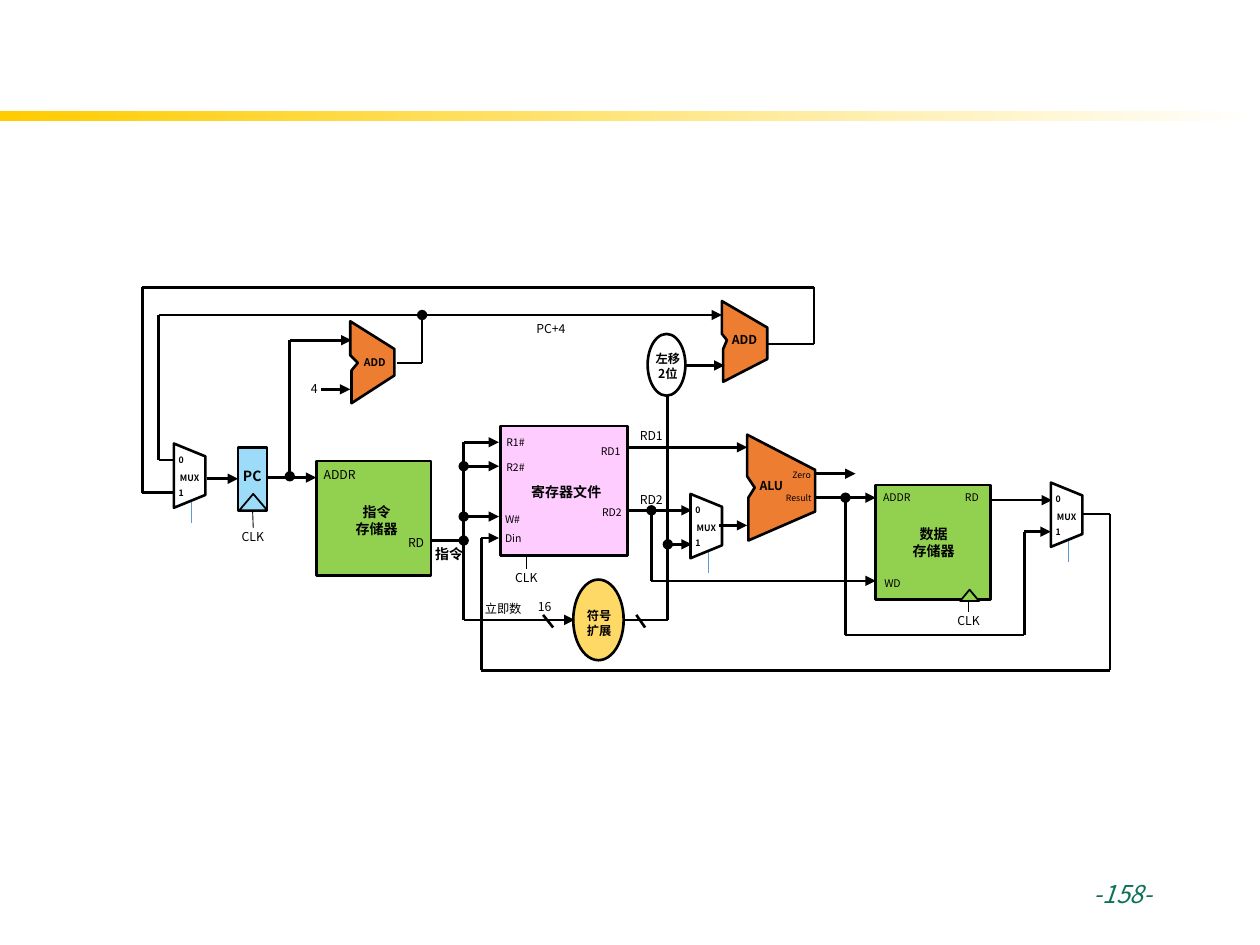
from dataclasses import dataclass
from typing import NamedTuple

from pptx import Presentation
from pptx import util as u
from pptx.dml.color import RGBColor
from pptx.enum import shapes, text
from pptx.oxml import ns
from lxml import etree

FONT = "Noto Sans CJK SC"
BLACK, WHITE, GREEN, PINK, ORANGE, SKY = "000000", "FFFFFF", "92D050", "FFCCFF", "ED7D31", "9CDCF8"
LEFT, CENTER, RIGHT = text.PP_ALIGN.LEFT, text.PP_ALIGN.CENTER, text.PP_ALIGN.RIGHT
KIND = shapes.MSO_SHAPE


class Block(NamedTuple):
    kind: int
    left: float
    top: float
    width: float
    height: float
    fill: str
    line: float = 1.5


@dataclass
class Label:
    words: str
    left: float
    top: float
    width: float
    height: float
    size: float = 7
    bold: bool = False
    align: int = LEFT
    color: str = BLACK
    italic: bool = False
    wrap: bool = False


@dataclass
class Wire:
    """A run of straight segments; head and tail name the end marks."""
    points: list
    head: str = ""
    tail: str = ""
    color: str = BLACK
    weight: float = 1.5


def rgb(value: str) -> RGBColor:
    return RGBColor.from_string(value)


def paint(shape, fill: str, line: float) -> None:
    shape.shadow.inherit = False
    shape.fill.solid()
    shape.fill.fore_color.rgb = rgb(fill)
    shape.line.color.rgb = rgb(BLACK)
    shape.line.width = u.Pt(line)


def draw_block(page, block: Block):
    box = page.shapes.add_shape(block.kind, *map(u.Inches, block[1:5]))
    paint(box, block.fill, block.line)
    return box


def draw_unit(page, points: list) -> None:
    """Notched outline of an adder or ALU."""
    corners = [(u.Inches(x), u.Inches(y)) for x, y in points]
    builder = page.shapes.build_freeform(*corners[0], scale=1.0)
    builder.add_line_segments(corners[1:], close=True)
    paint(builder.convert_to_shape(), ORANGE, 1.5)


def draw_label(page, label: Label) -> None:
    box = page.shapes.add_textbox(*map(u.Inches, (label.left, label.top, label.width, label.height)))
    frame = box.text_frame
    frame.word_wrap = label.wrap
    frame.auto_size = text.MSO_AUTO_SIZE.SHAPE_TO_FIT_TEXT
    frame.text = label.words
    for para in frame.paragraphs:
        para.alignment = label.align
        para.font.size = u.Pt(label.size)
        para.font.bold, para.font.italic = label.bold, label.italic
        para.font.color.rgb = rgb(label.color)
        para.font.name = FONT
        for span in para.runs:
            east_asian = etree.SubElement(span._r.get_or_add_rPr(), ns.qn("a:ea"))
            east_asian.set("typeface", FONT)


def add_mark(connector, end: str, mark: str) -> None:
    etree.SubElement(connector.line._get_or_add_ln(), ns.qn("a:" + end)).set("type", mark)


def draw_wire(page, wire: Wire) -> list:
    segments = []
    for start, stop in zip(wire.points, wire.points[1:]):
        segment = page.shapes.add_connector(
            shapes.MSO_CONNECTOR.STRAIGHT, *map(u.Inches, (*start, *stop)))
        segment.line.color.rgb = rgb(wire.color)
        segment.line.width = u.Pt(wire.weight)
        etree.SubElement(segment._element.spPr, ns.qn("a:effectLst"))
        segments.append(segment)
    if wire.head:
        add_mark(segments[0], "headEnd", wire.head)
    if wire.tail:
        add_mark(segments[-1], "tailEnd", wire.tail)
    return segments


def draw_mux(page, left: float, top: float) -> None:
    select_x = left + 0.27
    draw_wire(page, Wire([(select_x, top + 0.27), (select_x, top + 0.5)], color="5B9BD5", weight=0.5))
    body = draw_block(page, Block(KIND.FLOWCHART_MANUAL_OPERATION, left, top, 0.51, 0.25, WHITE))
    body.rotation = 270
    for words, dx, dy, width in (("MUX", 0.08, 0.05, 0.38), ("0", 0.07, -0.09, 0.25), ("1", 0.07, 0.17, 0.25)):
        draw_label(page, Label(words, left + dx, top + dy, width, 0.19, 5, True))


def draw_clock(page, x: float, top: float, bottom: float):
    stub, = draw_wire(page, Wire([(x, top), (x, bottom)], weight=0.5))
    draw_label(page, Label("CLK", x - 0.19, bottom - 0.04, 0.38, 0.22))
    return stub


BLOCKS = [
    Block(KIND.RECTANGLE, 2.51, 3.66, 0.91, 0.91, GREEN),
    Block(KIND.RECTANGLE, 6.95, 3.85, 0.91, 0.91, GREEN),
    Block(KIND.RECTANGLE, 3.97, 3.38, 1.01, 1.03, PINK),
    Block(KIND.OVAL, 4.55, 4.6, 0.4, 0.64, "FFD966"),
    Block(KIND.OVAL, 5.14, 2.65, 0.3, 0.49, WHITE),
    Block(KIND.ISOSCELES_TRIANGLE, 1.9, 3.92, 0.22, 0.13, SKY, 1),
    Block(KIND.ISOSCELES_TRIANGLE, 7.62, 4.68, 0.15, 0.09, GREEN, 1),
]
UNITS = [
    [(5.73, 2.39), (5.73, 2.65), (5.77, 2.7), (5.74, 2.77), (5.74, 3.03), (6.09, 2.85), (6.09, 2.6)],
    [(2.78, 2.55), (2.78, 2.82), (2.84, 2.88), (2.79, 2.94), (2.79, 3.2), (3.13, 2.98), (3.13, 2.77)],
    [(5.93, 3.45), (5.93, 3.78), (5.99, 3.87), (5.94, 3.95), (5.94, 4.29), (6.47, 4.06), (6.47, 3.73)],
]
ARROW, DOT = "triangle", "oval"
WIRES = [
    # next program counter
    Wire([(2.12, 3.79), (2.51, 3.79)], tail=ARROW),
    Wire([(2.3, 3.78), (2.3, 2.7), (2.79, 2.7)], DOT, ARROW),
    Wire([(2.55, 3.09), (2.78, 3.09)], tail=ARROW),
    Wire([(3.35, 2.5), (3.35, 2.88), (3.15, 2.88)], DOT),
    Wire([(3.35, 2.5), (5.73, 2.5)], tail=ARROW),
    Wire([(3.35, 2.5), (1.26, 2.5), (1.26, 3.65), (1.38, 3.65)]),
    Wire([(6.09, 2.73), (6.46, 2.73), (6.46, 2.28), (1.13, 2.28), (1.13, 3.91), (1.38, 3.91)]),
    # instruction fields
    Wire([(3.42, 4.29), (3.68, 4.29)], tail=DOT),
    Wire([(3.96, 3.51), (3.68, 3.51), (3.68, 4.92), (4.56, 4.92)], ARROW, ARROW),
    Wire([(3.68, 3.7), (3.96, 3.7)], DOT, ARROW),
    Wire([(3.68, 4.1), (3.96, 4.1)], DOT, ARROW),
    # sign-extended immediate
    Wire([(4.95, 4.92), (5.3, 4.92), (5.3, 3.14)]),
    Wire([(5.3, 4.32), (5.49, 4.32)], DOT, ARROW),
    Wire([(5.43, 2.9), (5.75, 2.9)], tail=ARROW),
    Wire([(4.31, 4.88), (4.39, 4.98)]),
    Wire([(5.05, 4.88), (5.12, 4.98)]),
    # operands and results
    Wire([(4.98, 3.55), (5.93, 3.55)], tail=ARROW),
    Wire([(4.98, 4.05), (5.49, 4.05)], tail=ARROW),
    Wire([(5.17, 4.05), (5.17, 4.61), (6.95, 4.61)], DOT, ARROW),
    Wire([(5.71, 4.17), (5.93, 4.17)], tail=ARROW),
    Wire([(6.47, 3.76), (6.79, 3.76)], tail=ARROW),
    Wire([(6.47, 3.95), (6.95, 3.95)], tail=ARROW),
    Wire([(6.71, 3.95), (6.71, 5.04), (8.13, 5.04), (8.13, 4.22), (8.34, 4.22)], DOT, ARROW),
    Wire([(7.86, 3.97), (8.35, 3.97)], tail=ARROW),
    Wire([(8.59, 4.08), (8.81, 4.08), (8.81, 5.32), (3.82, 5.32), (3.82, 4.27), (3.96, 4.27)], tail=ARROW),
]
LABELS = [
    Label("PC", 1.83, 3.66, 0.35, 0.24, 8, True),
    Label("4", 2.37, 2.98, 0.26, 0.22),
    Label("ADD", 2.79, 2.78, 0.4, 0.2, 6, True),
    Label("ADD", 5.71, 2.59, 0.43, 0.22, 7, True),
    Label("PC+4", 4.16, 2.5, 0.46, 0.22),
    Label("左移\n2位", 5.1, 2.74, 0.4, 0.34, 7, True, CENTER),
    Label("ADDR", 2.47, 3.66, 0.49, 0.22),
    Label("指令\n存储器", 2.72, 3.95, 0.54, 0.37, 8, True, CENTER),
    Label("RD", 3.14, 4.2, 0.34, 0.22),
    Label("指令", 3.35, 4.28, 0.43, 0.24, 8, True, CENTER),
    Label("立即数", 3.75, 4.72, 0.5, 0.22),
    Label("16", 4.17, 4.71, 0.32, 0.22),
    Label("符号\n扩展", 4.56, 4.78, 0.4, 0.34, 7, True),
    Label("R1#", 3.92, 3.41, 0.36, 0.2, 6),
    Label("R2#", 3.92, 3.61, 0.36, 0.2, 6),
    Label("W#", 3.91, 4.02, 0.71, 0.2, 6, wrap=True),
    Label("Din", 3.91, 4.17, 0.71, 0.2, 6, wrap=True),
    Label("寄存器文件", 4.11, 3.79, 0.77, 0.23, 8, True, CENTER),
    Label("RD1", 4.67, 3.48, 0.37, 0.2, 6),
    Label("RD2", 4.68, 3.97, 0.37, 0.2, 6),
    Label("RD1", 4.98, 3.35, 0.4, 0.22),
    Label("RD2", 4.98, 3.86, 0.4, 0.22),
    Label("ALU", 5.93, 3.75, 0.41, 0.22, 7, True),
    Label("Zero", 6.19, 3.68, 0.36, 0.19, 5),
    Label("Result", 6.13, 3.86, 0.41, 0.19, 5, align=RIGHT),
    Label("ADDR", 6.91, 3.85, 0.45, 0.2, 6),
    Label("数据\n存储器", 7.14, 4.12, 0.54, 0.37, 8, True, CENTER),
    Label("RD", 7.56, 3.85, 0.32, 0.2, 6),
    Label("WD", 6.92, 4.53, 0.66, 0.2, 6, wrap=True),
    Label(" -158-", 8.54, 6.93, 1.11, 0.52, 14, color="0D7157", italic=True, wrap=True),
]


def main() -> None:
    deck = Presentation()
    deck.slide_width, deck.slide_height = u.Inches(10), u.Inches(7.5)
    page = deck.slides.add_slide(deck.slide_layouts[6])

    band = draw_block(page, Block(KIND.RECTANGLE, 0, 0.88, 10, 0.08, WHITE))
    band.line.fill.background()
    band.fill.gradient()
    band.fill.gradient_angle = 0
    for stop, position, color in zip(band.fill.gradient_stops, (0, 1), ("FFCC00", WHITE)):
        stop.position, stop.color.rgb = position, rgb(color)

    counter = draw_block(page, Block(KIND.RECTANGLE, 1.89, 3.55, 0.23, 0.5, SKY))
    for block in BLOCKS:
        draw_block(page, block)
    for points in UNITS:
        draw_unit(page, points)
    for left, top in ((1.25, 3.65), (5.35, 4.05), (8.21, 3.96)):
        draw_mux(page, left, top)
    for wire in WIRES:
        draw_wire(page, wire)
    counter_input, = draw_wire(page, Wire([(1.64, 3.8), (1.89, 3.8)], tail=ARROW))
    counter_input.end_connect(counter, 1)
    draw_clock(page, 2.01, 4.05, 4.19).begin_connect(counter, 2)
    draw_clock(page, 4.18, 4.41, 4.52)
    draw_clock(page, 7.69, 4.76, 4.86)
    for label in LABELS:
        draw_label(page, label)
    deck.save("out.pptx")


if __name__ == "__main__":
    main()
